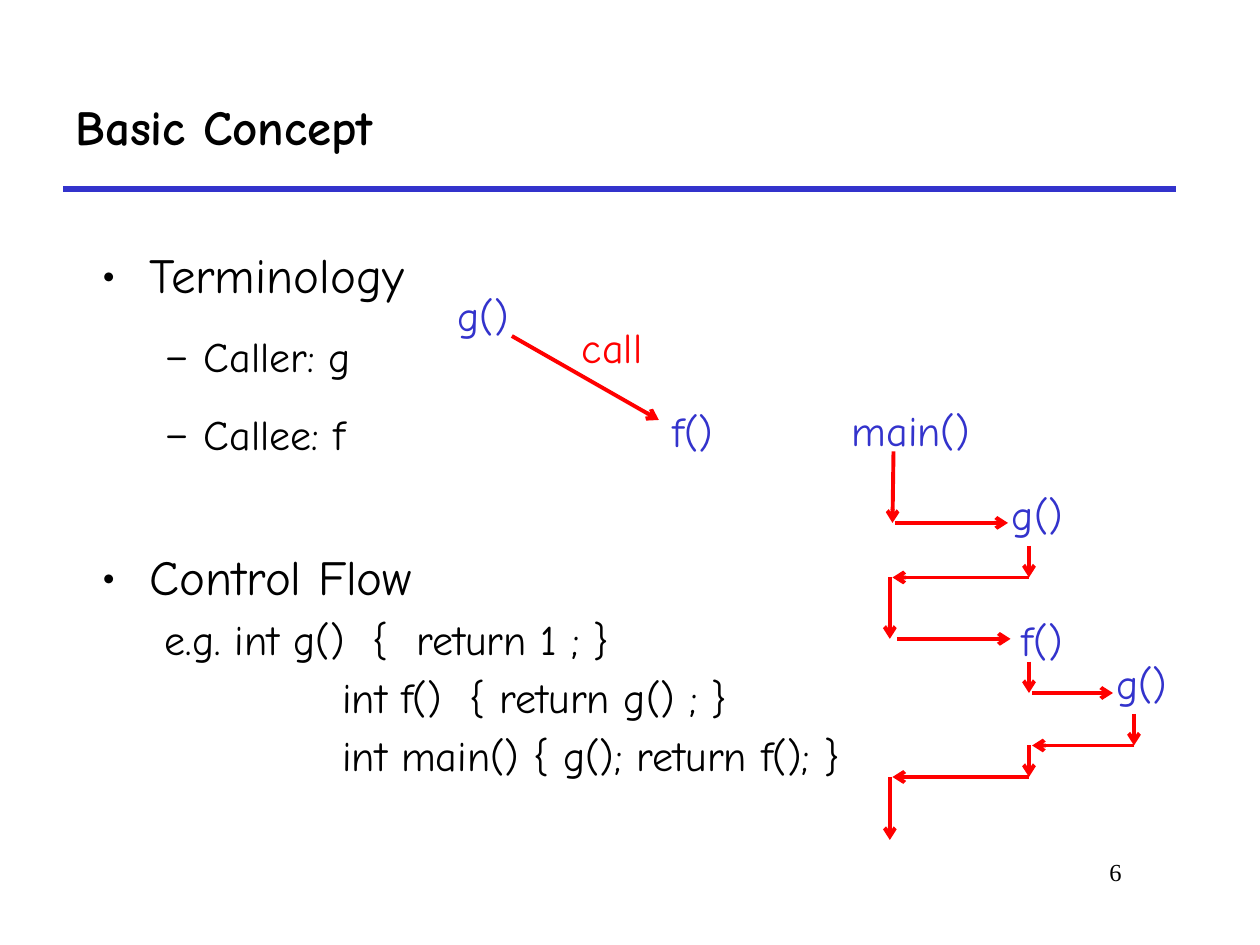
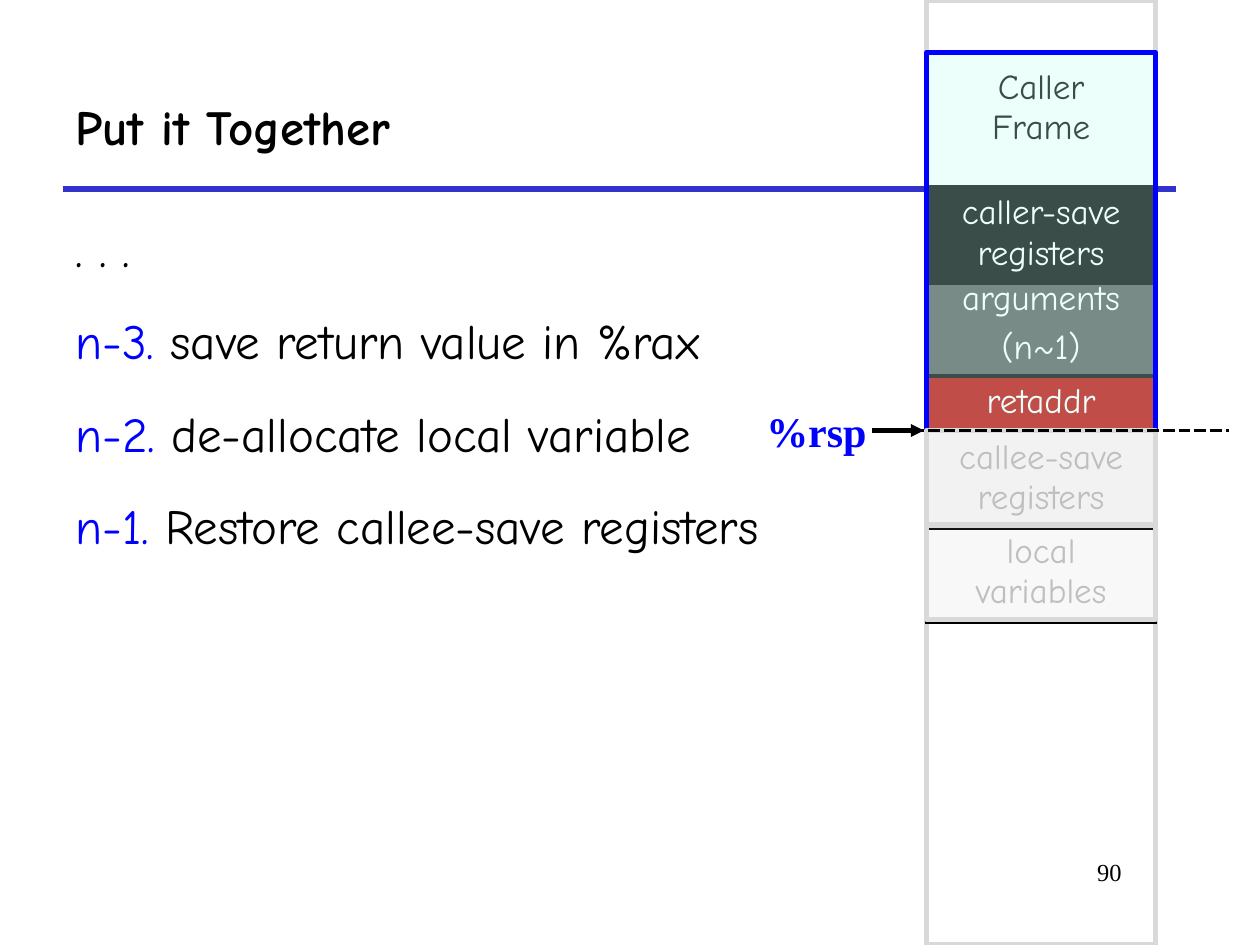
import pptx
import pptx.dml.color
import pptx.enum.dml
import pptx.enum.shapes
import pptx.enum.text
import pptx.oxml.ns
import pptx.util
import lxml.etree

COLUMNS, ROWS = 120, 90
CELL = pptx.util.Inches(10) / COLUMNS
COMIC, TIMES = "Comic Neue", "Times New Roman"
BLACK, WHITE, RED, BLUE = "000000", "FFFFFF", "FF0000", "0000FF"
RULE_BLUE, FRAME_GREY, FADED = "3333CC", "D9D9D9", "BFBFBF"
LEFT, CENTER, RIGHT = (getattr(pptx.enum.text.PP_ALIGN, side) for side in ("LEFT", "CENTER", "RIGHT"))
TITLE = {"size": 28, "bold": True}
BODY = {"size": 28}
SUBITEM = {"size": 24}
LABEL = {"size": 24, "color": RULE_BLUE}
NUMBER = {"size": 14, "name": TIMES}
STACK_LABEL = {"size": 20}


def grid(cells):
    """Turn grid cells into a length."""
    return pptx.util.Emu(round(cells * CELL))


def rgb(hex_text):
    """Turn a hex string into a colour."""
    return pptx.dml.color.RGBColor.from_string(hex_text)


def apply(target, formats):
    """Set every format value on the target."""
    for name, value in formats.items():
        setattr(target, name, value)


def add_element(parent, tag, **attributes):
    """Append a drawing element with its attributes."""
    return lxml.etree.SubElement(parent, pptx.oxml.ns.qn(f"a:{tag}"), attributes)


def write_runs(paragraph, runs, size, name=COMIC, color=BLACK, bold=False):
    """Write (text, colour) runs in one font; no colour means the shared one."""
    for text, run_color in runs:
        run = paragraph.add_run()
        run.text = text
        apply(run.font, {"size": pptx.util.Pt(size), "name": name, "bold": bold})
        run.font.color.rgb = rgb(run_color or color)


def write_line(paragraph, text, font, align=LEFT):
    """Write a paragraph of plain text, with breaks at its newlines."""
    paragraph.alignment = align
    for index, part in enumerate(text.split("\n")):
        if index:
            paragraph.add_line_break()
        write_runs(paragraph, [(part, None)], **font)


def add_box(slide, column, row, columns, rows, **formats):
    """Add an empty text box on the grid and return its frame."""
    frame = slide.shapes.add_textbox(*map(grid, (column, row, columns, rows))).text_frame
    apply(frame, {"word_wrap": True, **formats})
    return frame


def add_label(slide, text, column, row, columns, rows=6, font=LABEL, align=CENTER, **formats):
    """Add a text box that holds one line."""
    frame = add_box(slide, column, row, columns, rows, **formats)
    write_line(frame.paragraphs[0], text, font, align)


def add_line(slide, start, end, color=RED, width=2.25, head=None, dash=None):
    """Draw a straight line between two grid points."""
    line = slide.shapes.add_connector(
        pptx.enum.shapes.MSO_CONNECTOR.STRAIGHT, *map(grid, (*start, *end)))
    add_element(line._element.spPr, "effectLst")
    line.line.color.rgb = rgb(color)
    apply(line.line, {"width": pptx.util.Pt(width), "dash_style": dash})
    if head:
        add_element(line.line._get_or_add_ln(), "tailEnd", type=head)


def set_fill(fill, color, opacity=100):
    """Fill with a colour at an opacity in percent, or leave clear."""
    if color is None:
        fill.background()
        return
    fill.solid()
    fill.fore_color.rgb = rgb(color)
    if opacity < 100:
        for tint in fill._xPr.iter(pptx.oxml.ns.qn("a:srgbClr")):
            add_element(tint, "alpha", val=str(opacity * 1000))


def add_frame(slide, column, row, columns, rows, outline, fill=None, opacity=100):
    """Draw an outlined rectangle."""
    frame = slide.shapes.add_shape(
        pptx.enum.shapes.MSO_SHAPE.RECTANGLE, *map(grid, (column, row, columns, rows)))
    frame.shadow.inherit = False
    set_fill(frame.fill, fill, opacity)
    frame.line.color.rgb = rgb(outline)
    frame.line.width = pptx.util.Pt(3)


def add_entry(slide, column, row, columns, rows, lines, color, fill=None, opacity=100, top=0.6):
    """Add a one-cell table with black borders as a stack entry."""
    table = slide.shapes.add_table(1, 1, *map(grid, (column, row, columns, rows))).table
    apply(table, {"first_row": False, "horz_banding": False})
    cell = table.cell(0, 0)
    cell.margin_top = grid(top)
    for index, text in enumerate(lines):
        frame = cell.text_frame
        paragraph = frame.add_paragraph() if index else frame.paragraphs[0]
        if index:
            paragraph.space_before = pptx.util.Pt(4.5)
        write_line(paragraph, text, {**STACK_LABEL, "color": color}, CENTER)
    properties = cell._tc.get_or_add_tcPr()
    for side in "LRTB":
        border = add_element(properties, f"ln{side}", w=str(pptx.util.Pt(2.25)))
        add_element(add_element(border, "solidFill"), "srgbClr", val=BLACK)
    set_fill(cell.fill, fill, opacity)


def add_number(slide, number):
    """Write the slide number at the lower right."""
    add_label(slide, number, 91, 81, 17, 6, NUMBER, RIGHT)


def new_slide(deck, title):
    """Add a blank slide with the rule and title."""
    slide = deck.slides.add_slide(deck.slide_layouts[6])
    add_line(slide, (6, 18), (112, 18), RULE_BLUE, 3)
    add_label(slide, title, 6, 6, 106, 12, TITLE, LEFT,
              vertical_anchor=pptx.enum.text.MSO_ANCHOR.MIDDLE)
    return slide


def add_outline(slide, column, row, columns, rows):
    """Write the bulleted outline with its code example."""
    item = {"font": BODY, "margin": 0.38, "hang": 0.38, "bullet": "•", "spacing": 1.4, "before": 0}
    section = {**item, "before": 36.4}
    subitem = {"font": SUBITEM, "margin": 0.81, "hang": 0.31, "bullet": "–", "spacing": 1.4, "before": 4.2}
    example = {**subitem, "bullet": None, "spacing": 1, "before": 4.6}
    code = {**example, "margin": 1.91, "hang": 0}
    outline = [
        ("Terminology", item), ("Caller: g", subitem), ("Callee: f", subitem),
        ("Control Flow", section), ("e.g. int g()  {  return 1 ; }", example),
        ("int f()  { return g() ; }", code),
        ("int main() { g(); return f(); }", code)]
    frame = add_box(slide, column, row, columns, rows)
    for index, (text, level) in enumerate(outline):
        paragraph = frame.add_paragraph() if index else frame.paragraphs[0]
        properties = paragraph._p.get_or_add_pPr()
        properties.set("marL", str(pptx.util.Inches(level["margin"])))
        properties.set("indent", str(-pptx.util.Inches(level["hang"])))
        if level["bullet"]:
            add_element(properties, "buFont", typeface=COMIC)
            add_element(properties, "buChar", char=level["bullet"])
        apply(paragraph, {"line_spacing": level["spacing"],
                          "space_before": pptx.util.Pt(level["before"])})
        write_line(paragraph, text, level["font"])


def add_call(slide, column, row):
    """Draw the arrow from the caller to the callee."""
    add_label(slide, "g()", column, row, 8)
    add_label(slide, "f()", column + 20, row + 11, 8)
    add_line(slide, (column + 6.75, row + 5), (column + 20.75, row + 13), head="arrow")
    add_label(slide, "call", column + 9.8, row + 3, 13, font={**LABEL, "color": RED})


def add_control_flow(slide, column, row):
    """Draw the calls and returns of main, f and g over three lanes."""
    main, inner, deep = 6.75, 20, 30
    calls = [("main()", 0.24, -0.08, 17), ("g()", 16.56, 7.96, 8.5),
             ("f()", 17, 19.96, 8.5), ("g()", 26.5, 24, 8.5)]
    steps = [
        (main + 0.35, 5, main + 0.25, 11.8), (main + 0.45, 11.8, 18, 11.8),
        (inner, 14, inner, 17), (inner, 17, main + 0.25, 17),
        (main, 17, main, 22.85), (main + 0.7, 22.85, 18.25, 22.85),
        (inner, 25, inner, 28), (inner + 0.3, 28, 28, 28),
        (deep, 30, deep, 33), (deep, 33, inner + 0.3, 33),
        (inner, 33, inner, 36), (inner, 36, main + 0.25, 36), (main, 36, main, 42)]
    for name, left, top, columns in calls:
        add_label(slide, name, column + left, row + top, columns)
    for left, top, right, bottom in steps:
        add_line(slide, (column + left, row + top), (column + right, row + bottom), head="arrow")


def add_steps(slide, column, row, columns, rows):
    """Write the numbered closing steps of a call."""
    steps = [("", ". . ."), ("n-3. ", "save return value in %rax"),
             ("n-2. ", "de-allocate local variable"),
             ("n-1. ", "Restore callee-save registers")]
    frame = add_box(slide, column, row, columns, rows)
    for index, (number, text) in enumerate(steps):
        paragraph = frame.add_paragraph() if index else frame.paragraphs[0]
        apply(paragraph, {"line_spacing": 1.4, "space_before": pptx.util.Pt(5.6 if index else 0)})
        runs = [(number, BLUE), (text, BLACK)]
        write_runs(paragraph, [run for run in runs if run[0]], **BODY)


def add_stack(slide, column, row, columns, rows):
    """Draw the caller's live frame above the callee's released entries."""
    live = [(26, 10, ["arguments", "(n~1)"], WHITE, "595959"),
            (17.8, 9.2, ["caller-save registers"], WHITE, BLACK),
            (35.8, 5.2, ["retaddr"], WHITE, "C00000"),
            (5, 36, ["Caller\nFrame"], BLACK, None, 100, 1.48)]
    released = [(41.08, 9.2, ["callee-save registers"], FADED, "F2F2F2"),
                (50.05, 9.2, ["local variables"], FADED, FADED, 10)]
    add_frame(slide, column, row, columns, rows, FRAME_GREY)
    for top, *entry in live:
        add_entry(slide, column, row + top, columns, *entry)
    add_frame(slide, column, row + 5, columns, 36, BLUE, "C2FFF0", 30)
    for top, *entry in released:
        add_entry(slide, column, row + top, columns, *entry)
    for top in (50, 41):
        add_frame(slide, column, row + top, columns, 9, FRAME_GREY)


def add_stack_pointer(slide, column, row):
    """Mark the row where the stack pointer stands."""
    add_label(slide, "%rsp", column, row - 3, 12.2, align=LEFT, word_wrap=False,
              font={"size": 24, "name": TIMES, "color": BLUE, "bold": True})
    add_line(slide, (column + 12.1, row), (column + 45.2, row), BLACK,
             dash=pptx.enum.dml.MSO_LINE.SQUARE_DOT)
    add_line(slide, (column + 11.25, row), (column + 16.2, row), BLACK, 2.5, "triangle")


def build_concept(deck):
    """Build the slide on calling terms and control flow."""
    slide = new_slide(deck, "Basic Concept")
    add_number(slide, "6")
    add_outline(slide, 8.5, 20.45, 107, 61)
    add_call(slide, 42, 27)
    add_control_flow(slide, 78, 38)


def build_together(deck):
    """Build the slide on closing a call, with its stack."""
    slide = new_slide(deck, "Put it Together")
    add_steps(slide, 6, 18, 114, 67)
    add_stack(slide, 88.25, 0, 21.8, ROWS)
    add_number(slide, "90")
    add_stack_pointer(slide, 71.8, 41)


def main():
    """Build and save the deck."""
    deck = pptx.Presentation()
    apply(deck, {"slide_width": grid(COLUMNS), "slide_height": grid(ROWS)})
    build_concept(deck)
    build_together(deck)
    deck.save("out.pptx")


if __name__ == "__main__":
    main()
